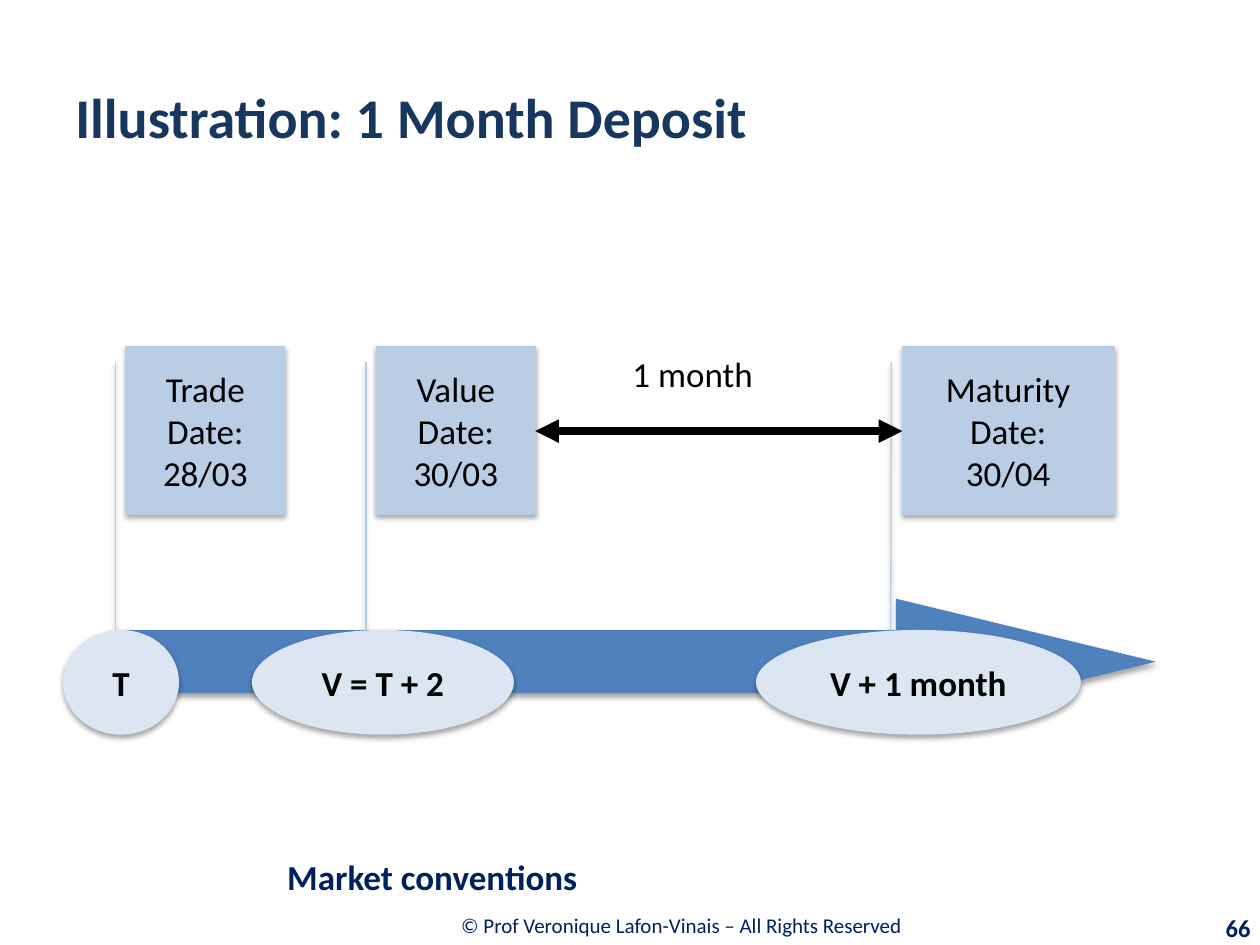
from dataclasses import dataclass
from lxml import etree
from pptx import Presentation
from pptx import util as u
from pptx.dml.color import RGBColor
from pptx.enum import shapes, text
from pptx.oxml.ns import qn

FORM = shapes.MSO_SHAPE
SIDE = text.PP_ALIGN


@dataclass(frozen=True)
class Theme:
    """Colours, font and type sizes of the slide."""
    font: str = "Calibri"
    title: str = "17375E"
    navy: str = "002060"
    ink: str = "000000"
    card: str = "B9CDE5"
    bar: str = "4F81BD"
    oval: str = "DCE6F2"
    head: int = 32
    body: int = 20
    page: int = 14
    note: int = 12


T = Theme()


def write(shape, lines, size, color, bold=False, align=SIDE.LEFT, **frame):
    """Fill a shape with styled lines of text."""
    tf = shape.text_frame
    look = {"word_wrap": True, "vertical_anchor": text.MSO_ANCHOR.MIDDLE, **frame}
    for key, val in look.items():
        setattr(tf, key, val)
    tf.text = "\n".join(lines)
    for para in tf.paragraphs:
        para.alignment = align
        font = para.runs[0].font
        font.color.rgb = RGBColor.from_string(color)
        for key, val in {"name": T.font, "size": u.Pt(size), "bold": bold}.items():
            setattr(font, key, val)


def label(slide, box, line, size, color, **look):
    """Place a text box with one line."""
    write(slide.shapes.add_textbox(*map(u.Cm, box)), [line], size, color, **look)


def shade(shape):
    """Give a shape a soft shadow below it."""
    shape.shadow.inherit = False
    glow = shape._element.spPr.find(qn("a:effectLst"))
    drop = etree.SubElement(glow, qn("a:outerShdw"), blurRad=str(u.Pt(3.1)),
                            dist=str(u.Pt(1.8)), dir="5400000", rotWithShape="0")
    tone = etree.SubElement(drop, qn("a:srgbClr"), val=T.ink)
    etree.SubElement(tone, qn("a:alpha"), val="35000")


def solid(slide, kind, box, color, adjust=(), line=False):
    """Place a filled shape with a shadow."""
    shape = slide.shapes.add_shape(kind, *map(u.Cm, box))
    for i, val in enumerate(adjust):
        shape.adjustments[i] = val
    shape.fill.solid()
    shape.fill.fore_color.rgb = RGBColor.from_string(color)
    if line:
        shape.line.color.rgb = RGBColor.from_string(color)
        shape.line.width = u.Pt(0.75)
    else:
        shape.line.fill.background()
    shade(shape)
    return shape


def span(slide, left, right, y):
    """Draw a thick line with a triangle at both ends."""
    link = slide.shapes.add_connector(shapes.MSO_CONNECTOR.STRAIGHT,
                                      *map(u.Cm, (left, y, right, y)))
    link.line.color.rgb = RGBColor.from_string(T.ink)
    link.line.width = u.Pt(4.5)
    for end in ("headEnd", "tailEnd"):
        etree.SubElement(link.line._ln, qn(f"a:{end}"), type="triangle")
    etree.SubElement(link._element.spPr, qn("a:effectLst"))


def dates(slide, x, y, high):
    """Place the date callouts and the term between the last two."""
    cards = [("Trade", "28/03", 1.27, 3.2, -0.066, -0.066),
             ("Value", "30/03", 6.32, 3.2, -0.066, -0.066),
             ("Maturity", "30/04", 16.92, 4.27, -0.052, -0.055)]
    for name, day, dx, wide, bend, tip in cards:
        card = solid(slide, FORM.LINE_CALLOUT_2, (x + dx, y, wide, high), T.card,
                     (0.094, max(bend, tip, -0.05) if name == "Maturity" else bend,
                      0.094, bend, 1.938, tip), line=True)
        write(card, [f"{name} Date:", day], T.body, T.ink, align=SIDE.CENTER)
    span(slide, x + 9.52, x + 16.92, y + 1.7)
    label(slide, (x + 11.23, y, 4.01, 1.12), "1 month", T.body, T.ink,
          vertical_anchor=text.MSO_ANCHOR.TOP)


def track(slide, x, y):
    """Place the time arrow with its ovals."""
    solid(slide, FORM.RIGHT_ARROW, (x + 1.07, y, 20.96, 2.54), T.bar, (0.5, 2.062))
    for name, dx, wide in (("T", 0, 2.34), ("V = T + 2", 3.81, 5.28),
                           ("V + 1 month", 13.97, 6.55)):
        oval = solid(slide, FORM.OVAL, (x + dx, y + 0.63, wide, 2.11), T.oval)
        write(oval, [name], T.body, T.ink, bold=True, align=SIDE.CENTER,
              word_wrap=False)


def foot(slide, x, y):
    """Place the section name, the rights line and the page number."""
    label(slide, (x, y, 19.86, 1.19), "Market conventions", T.body, T.navy, bold=True)
    label(slide, (x + 0.02, y + 1.09, 16.46, 0.99),
          "© Prof Veronique Lafon-Vinais – All Rights Reserved ",
          T.note, T.navy, align=SIDE.CENTER)
    label(slide, (x + 17.35, y + 1.22, 2.57, 0.81), "66", T.page, T.navy,
          bold=True, align=SIDE.RIGHT)


def main():
    """Build the slide and save it."""
    deck = Presentation()
    deck.slide_width, deck.slide_height = u.Cm(25.4), u.Cm(19.05)
    slide = deck.slides.add_slide(deck.slide_layouts[6])
    label(slide, (1.27, 0.76, 22.86, 3.18), "Illustration: 1 Month Deposit",
          T.head, T.title, bold=True)
    dates(slide, 1.27, 6.99, 3.38)
    track(slide, 1.27, 12.07)
    foot(slide, 5.54, 17.07)
    deck.save("out.pptx")


if __name__ == "__main__":
    main()
